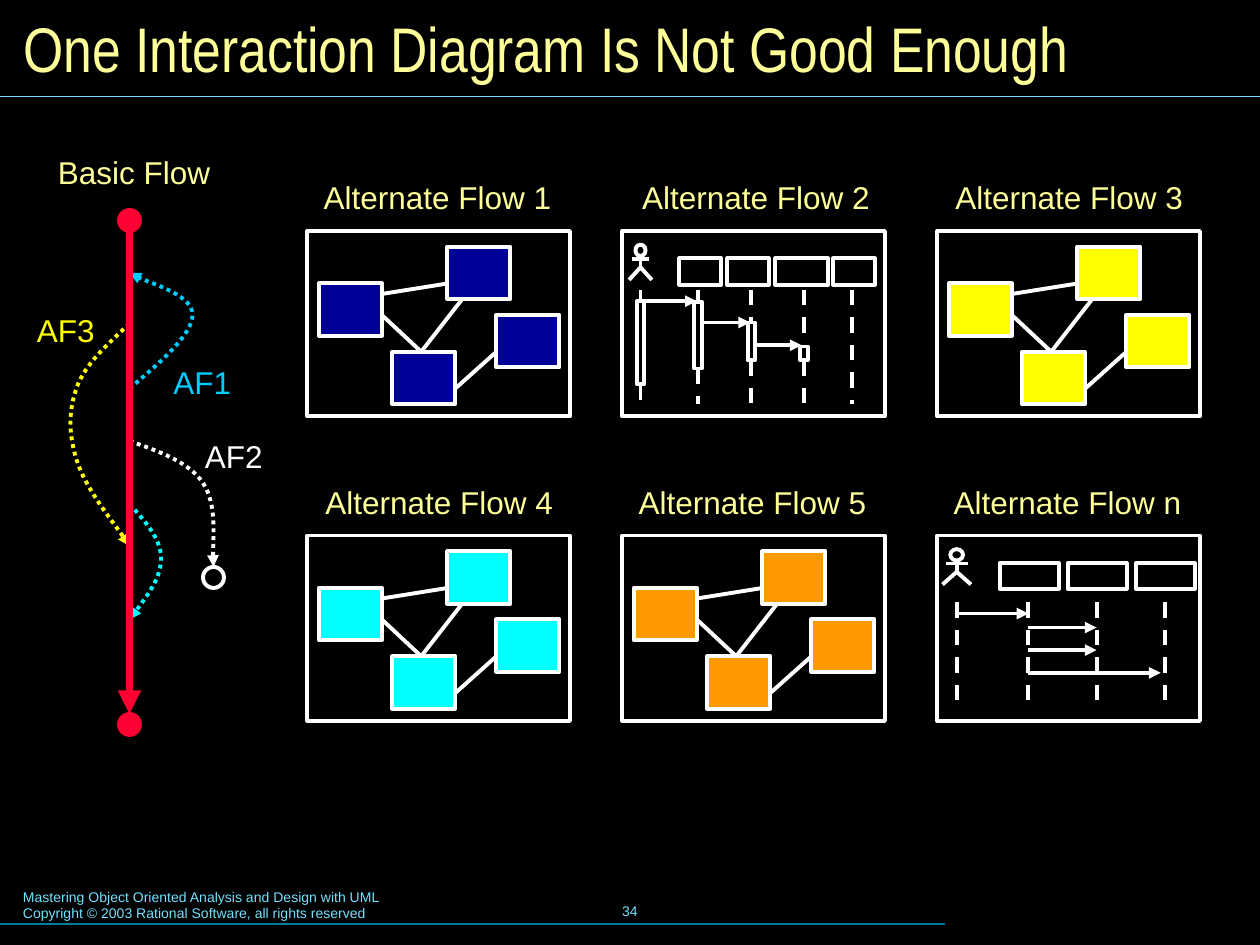
from lxml.etree import SubElement
from pptx import Presentation
from pptx.dml.color import RGBColor
from pptx.enum.dml import MSO_LINE as Dash
from pptx.enum.shapes import MSO_CONNECTOR as Link, MSO_SHAPE as Shape
from pptx.enum.text import MSO_ANCHOR as Anchor, MSO_AUTO_SIZE as AutoSize, PP_ALIGN as Align
from pptx.oxml.ns import qn
from pptx.util import Pt

WHITE, CREAM, SKY, RED = "FFFFFF", "FFFF99", "73E1FF", "FF0033"
PANEL_WIDTH, PANEL_HEIGHT = 150, 106
LABEL_WIDTH, LABEL_RISE = 136, 30
STROKE = 2.25
LABEL_FONT = {"name": "Arial", "size": Pt(18)}
FOOTER_FONT = {"name": "Arial", "size": Pt(8)}
TITLE_FONT = {"name": "Arial Narrow", "size": Pt(36), "bold": False}


def color(hex_value):
    return RGBColor.from_string(hex_value)


def style_line(shape, ink, width=STROKE, dash=None, arrow=False):
    shape.line.color.rgb = color(ink)
    shape.line.width = Pt(width)
    if dash:
        shape.line.dash_style = dash
    if arrow:
        outline = shape.element.spPr.find(qn("a:ln"))
        SubElement(outline, qn("a:tailEnd"), type="triangle")


def add_line(page, start, end, ink=WHITE, **style):
    line = page.add_connector(Link.STRAIGHT, *map(Pt, start + end))
    style_line(line, ink, **style)
    SubElement(line.element.spPr, qn("a:effectLst"))


def add_block(page, left, top, width, height, kind=Shape.RECTANGLE, fill=None, ink=WHITE):
    block = page.add_shape(kind, Pt(left), Pt(top), Pt(width), Pt(height))
    block.shadow.inherit = False
    if fill:
        block.fill.solid()
        block.fill.fore_color.rgb = color(fill)
    else:
        block.fill.background()
    style_line(block, ink)


def add_outline(page, points, ink=WHITE, **style):
    start, *rest = [(Pt(x), Pt(y)) for x, y in points]
    builder = page.build_freeform(*start)
    builder.add_line_segments(rest, close=False)
    outline = builder.convert_to_shape()
    outline.shadow.inherit = False
    outline.fill.background()
    style_line(outline, ink, **style)
    return outline


def add_curve(page, ink, points):
    """Dotted arrow: a start point, then three Bezier points per segment."""
    curve = add_outline(page, points, ink, dash=Dash.ROUND_DOT, arrow=True)
    segments = list(curve.element.iter(qn("a:lnTo")))
    route = segments[0].getparent()
    for index, segment in enumerate(segments):
        if index % 3 == 0:
            bezier = SubElement(route, qn("a:cubicBezTo"))
        bezier.append(segment[0])
        route.remove(segment)


def format_text(box, lines, ink, font, align=Align.LEFT, **frame_format):
    frame = box.text_frame
    for name, value in frame_format.items():
        setattr(frame, name, value)
    frame.text = "\n".join(lines)
    for para in frame.paragraphs:
        para.alignment = align
        para.font.color.rgb = color(ink)
        for name, value in font.items():
            setattr(para.font, name, value)


def add_text(page, left, top, width, height, lines, ink, font=LABEL_FONT, inset=True, **options):
    box = page.add_textbox(Pt(left), Pt(top), Pt(width), Pt(height))
    if not inset:
        options |= dict.fromkeys(
            ("margin_left", "margin_right", "margin_top", "margin_bottom"), 0)
    format_text(box, lines, ink, font, **{"word_wrap": False, **options})


def add_actor(page, x, y, scale=1):
    """Stick figure centred on x, in a panel whose top is y."""
    head, arm, leg = 5.8 * scale, 5 * scale, 6.5 * scale
    add_block(page, x - head / 2, y + 7.8, head, 6.5, Shape.OVAL)
    add_line(page, (x, y + 14.3), (x, y + 20.8))
    add_line(page, (x - arm, y + 16), (x + arm, y + 16))
    add_outline(page, [(x - leg, y + 28), (x, y + 20.8), (x + leg, y + 28)])


def add_message(page, left, right, y):
    add_line(page, (left, y), (right, y), arrow=True)


def add_lifeline(page, x, top, bottom):
    add_line(page, (x, top), (x, bottom), dash=Dash.DASH)


def draw_collaboration(page, x, y, fill):
    for x1, y1, x2, y2 in [(42.5, 48, 65, 69), (42.5, 36, 80, 30),
                           (65, 69, 88, 39.5), (84.5, 90, 108, 69)]:
        add_line(page, (x + x1, y + y1), (x + x2, y + y2))
    for left, top in [(6.5, 30), (48.5, 69), (108, 48), (80, 9)]:
        add_block(page, x + left, y + top, 36, 30, fill=fill)


def draw_sequence_with_bars(page, x, y):
    add_actor(page, x + 10.3, y)
    for left, width in [(32.6, 23.8), (59.9, 23.8), (87.3, 30.2), (120.4, 23.8)]:
        add_block(page, x + left, y + 15.6, width, 15.1)
    for left, right, level in [(9.5, 42.5, 40.1), (44.8, 72.9, 52.3), (76.5, 102.4, 65.3)]:
        add_message(page, x + left, x + right, y + level)
    # Lifelines break where an activation bar covers them
    top, bottom, bar_width = y + 33.6, y + 99.1, 4.2
    for center, start, height in [(10.3, 40.1, 47.5), (43.2, 40.4, 38.2),
                                  (73.6, 52.3, 21.6), (103.7, 66, 7.9)]:
        add_lifeline(page, x + center, top, y + start)
        add_lifeline(page, x + center, y + start + height, bottom)
        add_block(page, x + center - bar_width / 2, y + start, bar_width, height)
    add_lifeline(page, x + 131.2, top, bottom)


def draw_plain_sequence(page, x, y):
    step = 38.9
    add_actor(page, x + 11, y, scale=1.25)
    for index in range(3):
        add_block(page, x + 35.5 + index * step, y + 15.8, 33.8, 14.8)
    for center in [11.4] + [52 + index * step for index in range(3)]:
        add_lifeline(page, x + center, y + 38.2, y + 97.9)
    for left, right, level in [(11, 52, 44.6), (52, 90.9, 52.6),
                               (52, 90.9, 65.5), (52, 127.6, 78.5)]:
        add_message(page, x + left, x + right, y + level)


def draw_basic_flow(page):
    add_curve(page, "FFFF00", [(74, 185), (61, 197), (49, 208), (44, 221), (39, 235),
                               (39, 248), (44, 263.5), (49, 279), (69, 304), (74, 312)])
    add_curve(page, "00FFFF", [(74, 288), (83, 298), (92, 308), (92, 319),
                               (92, 330), (83, 342), (74, 354)])
    add_curve(page, "00CCFF", [(74, 222), (92, 207), (110, 191), (110, 180),
                               (110, 169), (80, 160), (74, 156)])
    add_curve(page, WHITE, [(74, 252), (91, 258), (108, 264), (116, 276),
                            (124, 288), (121, 316), (122, 324)])
    for left, top, fill, ink in [(68, 408, RED, RED), (68, 120, RED, RED),
                                 (116, 324, None, WHITE)]:
        add_block(page, left, top, 12, 12, Shape.OVAL, fill, ink)
    for text, left, top, width, ink in [("AF1", 92, 204, 47.5, "00CCFF"),
                                        ("AF2", 110, 246, 47.5, WHITE),
                                        ("AF3", 14, 174, 47.5, "FFFF00"),
                                        ("Basic Flow", 26, 84, 101.5, CREAM)]:
        add_text(page, left, top, width, 28.8, [text], ink)
    add_line(page, (74, 132), (74, 408), RED, width=4.5, arrow=True)


def draw_panels(page):
    # Flow name, label left, drawing function and its extra arguments
    rows = [
        [("1", 185, draw_collaboration, ["000099"]),
         ("2", 367, draw_sequence_with_bars, []),
         ("3", 546, draw_collaboration, ["FFFF00"])],
        [("4", 186, draw_collaboration, ["00FFFF"]),
         ("5", 365, draw_collaboration, ["FF9900"]),
         ("n", 545, draw_plain_sequence, [])],
    ]
    for row, panels in enumerate(rows):
        for column, (name, label_left, draw, extra) in enumerate(panels):
            x, y = 175.7 + 180 * column, 132 + 174 * row
            add_text(page, label_left, y - LABEL_RISE, LABEL_WIDTH, 21.6,
                     [f"Alternate Flow {name}"], CREAM, inset=False)
            panel = page.add_group_shape().shapes
            add_block(panel, x, y, PANEL_WIDTH, PANEL_HEIGHT)
            draw(panel, x, y, *extra)


def main():
    deck = Presentation()
    deck.slide_width, deck.slide_height = Pt(720), Pt(540)
    slide = deck.slides.add_slide(deck.slide_layouts[5])
    slide.background.fill.solid()
    slide.background.fill.fore_color.rgb = color("000000")
    page = slide.shapes

    # Title
    title = page.title
    title.left, title.top, title.width, title.height = map(Pt, (6, 6, 708, 42))
    format_text(title, ["One Interaction Diagram Is Not Good Enough"], CREAM, TITLE_FONT,
                vertical_anchor=Anchor.MIDDLE, auto_size=AutoSize.NONE)

    # Rules and footer
    add_line(page, (0, 55), (720, 55), SKY, width=0.75)
    add_line(page, (0, 528), (540, 528), "007E9F", width=0.75)
    add_text(page, 6, 504, 367, 26.6,
             ["Mastering Object Oriented Analysis and Design with UML",
              "Copyright © 2003 Rational Software, all rights reserved"],
             SKY, FOOTER_FONT, word_wrap=True)
    add_text(page, 246, 502.5, 228, 36, ["34"], SKY, FOOTER_FONT,
             align=Align.CENTER, vertical_anchor=Anchor.MIDDLE)

    # Flows
    draw_basic_flow(page)
    draw_panels(page)
    deck.save("out.pptx")


if __name__ == "__main__":
    main()
